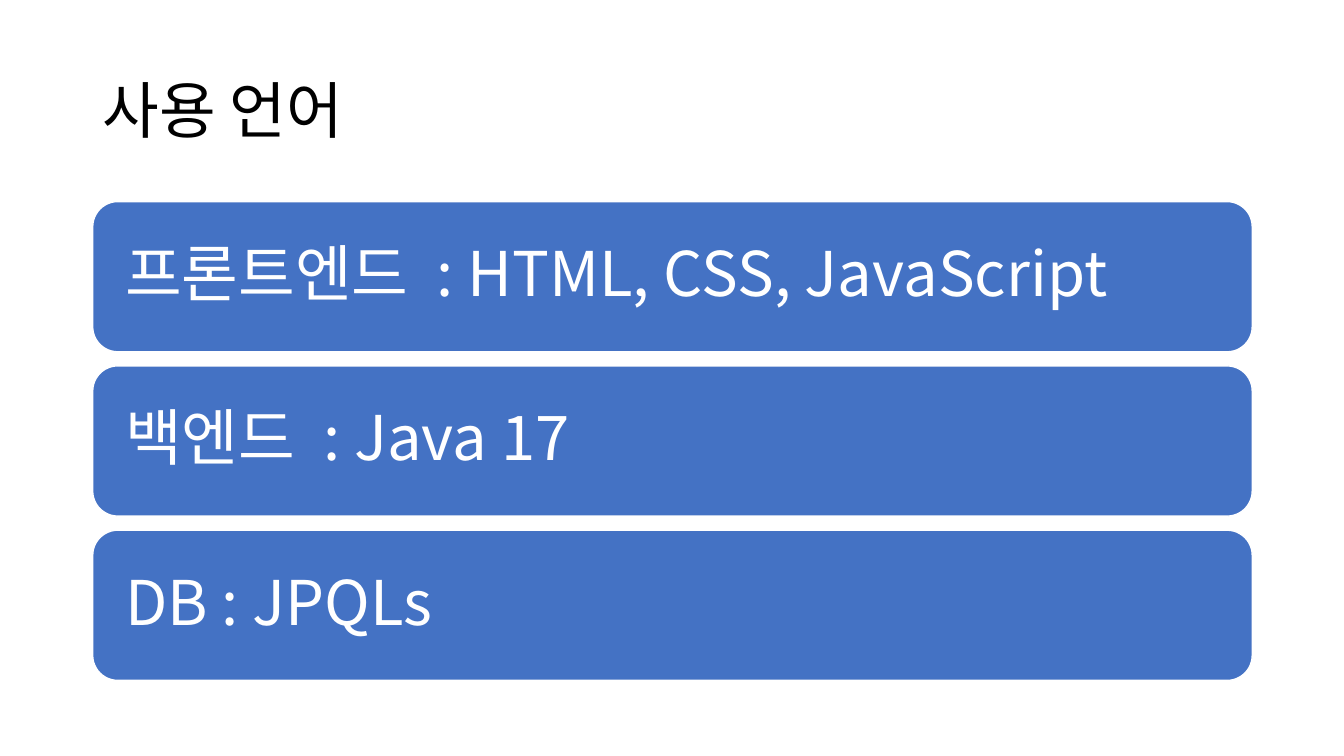
from pptx import Presentation
from pptx.dml.color import RGBColor
from pptx.enum.shapes import MSO_SHAPE
from pptx.enum.text import MSO_ANCHOR, PP_ALIGN
from pptx.oxml.ns import qn
from pptx.util import Inches, Pt
from lxml import etree

TITLE = "사용 언어"
LANGUAGES = [
    ("프론트엔드", "HTML, CSS, JavaScript", 10),
    ("백엔드", "Java 17", 10),
    ("DB", "JPQLs", 0),
]
THEME = {
    "font": "Noto Sans CJK KR",
    "size": Pt(44),
    "title": RGBColor(0x00, 0x00, 0x00),
    "bar": RGBColor(0x44, 0x72, 0xC4),
    "light": RGBColor(0xFF, 0xFF, 0xFF),
}
LEFT, WIDTH = 0.92, 11.5
TITLE_TOP, TITLE_HEIGHT = 0.4, 1.45
BARS_TOP, BAR_HEIGHT, BAR_PITCH = 2, 1.49, 1.63
BAR_INSET = 0.25


def write(frame, pieces, color):
    frame.word_wrap = True
    frame.vertical_anchor = MSO_ANCHOR.MIDDLE
    paragraph = frame.paragraphs[0]
    paragraph.alignment = PP_ALIGN.LEFT
    paragraph.line_spacing = 0.9
    for words, tracking in pieces:
        run = paragraph.add_run()
        run.text = words
        run.font.name = THEME["font"]
        run.font.size = THEME["size"]
        run.font.color.rgb = color
        properties = run.font._element
        etree.SubElement(properties, qn("a:ea"), typeface=THEME["font"])
        if tracking:
            properties.set("spc", str(tracking * 100))


def add_title(slide):
    title = slide.shapes.add_textbox(
        Inches(LEFT), Inches(TITLE_TOP), Inches(WIDTH), Inches(TITLE_HEIGHT))
    write(title.text_frame, [(TITLE, 0)], THEME["title"])


def add_language_bar(slide, row, part, languages, gap):
    bar = slide.shapes.add_shape(
        MSO_SHAPE.ROUNDED_RECTANGLE, Inches(LEFT),
        Inches(BARS_TOP + row * BAR_PITCH), Inches(WIDTH), Inches(BAR_HEIGHT))
    bar.shadow.inherit = False
    bar.fill.solid()
    bar.fill.fore_color.rgb = THEME["bar"]
    bar.line.color.rgb = THEME["light"]
    bar.line.width = Pt(1)
    frame = bar.text_frame
    frame.margin_left = frame.margin_right = Inches(BAR_INSET)
    pieces = [(part, 0), (" ", gap), (f": {languages}", 0)]
    write(frame, pieces, THEME["light"])


def main():
    deck = Presentation()
    deck.slide_width, deck.slide_height = Inches(13.33), Inches(7.5)
    slide = deck.slides.add_slide(deck.slide_layouts[6])
    add_title(slide)
    for row, language in enumerate(LANGUAGES):
        add_language_bar(slide, row, *language)
    deck.save("out.pptx")


if __name__ == "__main__":
    main()
